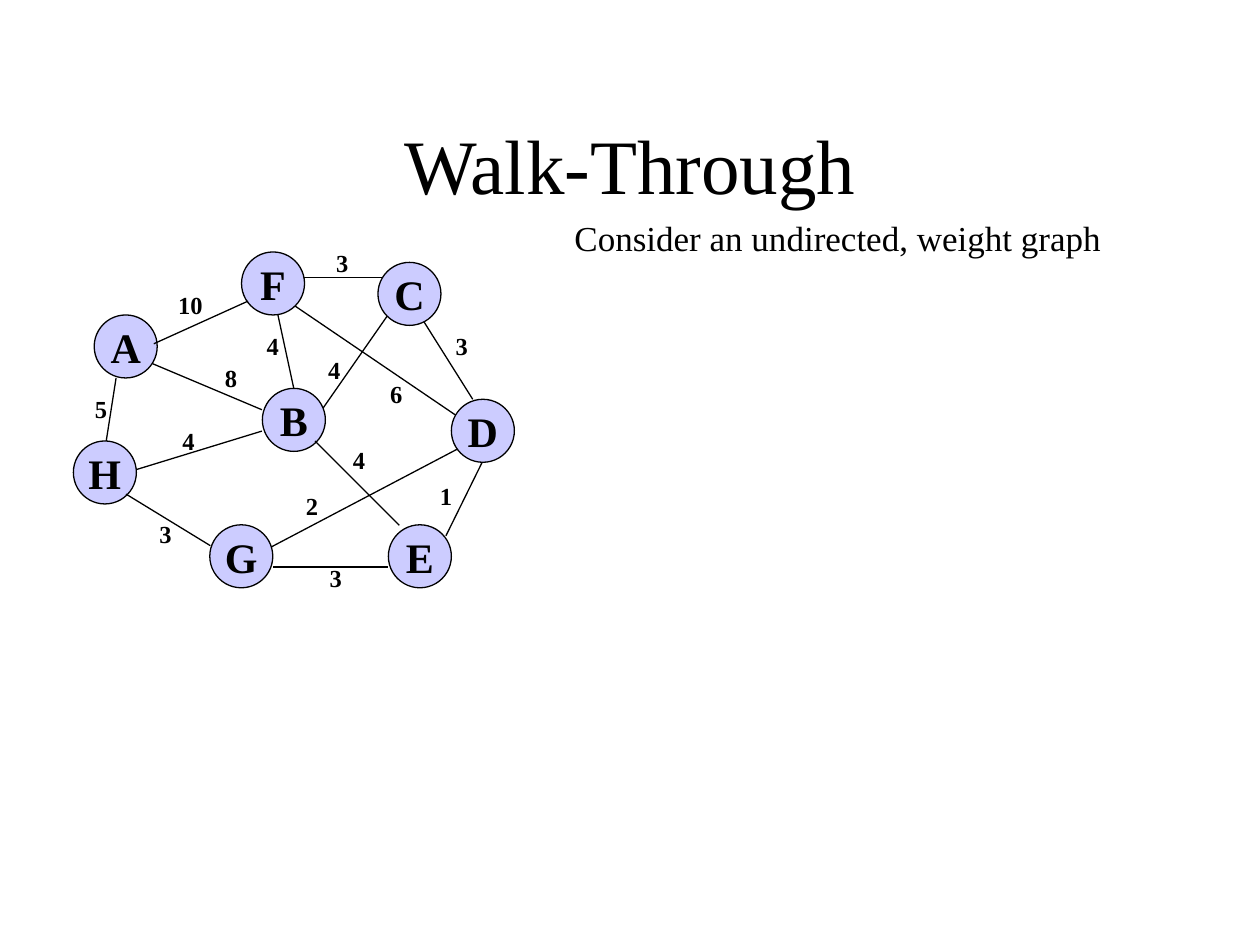
from dataclasses import dataclass

from lxml.etree import SubElement
from pptx import Presentation
from pptx.dml.color import RGBColor
from pptx.enum.shapes import MSO_CONNECTOR as Connector
from pptx.enum.shapes import MSO_SHAPE as Shape
from pptx.enum.text import MSO_ANCHOR as Anchor
from pptx.enum.text import MSO_AUTO_SIZE as AutoSize
from pptx.enum.text import PP_ALIGN as Align
from pptx.oxml.ns import qn
from pptx.util import Cm, Pt

COLORS = {"ink": "000000", "node": "CCCCFF"}
FONT = "Times New Roman"
NODE_SIZE = 1.27
LABEL_HEIGHT = 0.86
NARROW, WIDE = 0.84, 1.32


@dataclass
class Edge:
    start: tuple
    end: tuple
    weight: str
    label_center: float
    label_top: float
    label_width: float = NARROW


NODES = {
    "A": (1.9, 6.35),
    "H": (1.48, 8.89),
    "B": (5.29, 7.83),
    "F": (4.87, 5.08),
    "E": (7.83, 10.58),
    "D": (9.1, 8.05),
    "C": (7.62, 5.29),
    "G": (4.23, 10.58),
}

EDGES_BEHIND_NODES = [
    Edge((10.03, 8.69), (8.99, 10.8), "1", 8.99, 9.58, WIDE),
    Edge((5.51, 5.92), (5.92, 7.82), "4", 5.5, 6.55),
    Edge((6.35, 8.46), (7.82, 6.35), "4", 6.74, 7.04),
    Edge((9.32, 8.46), (5.92, 6.15), "6", 7.99, 7.52, WIDE),
    Edge((2.54, 9.53), (5.28, 8.69), "4", 3.8, 8.46),
    Edge((5.08, 11.23), (9.53, 8.89), "2", 6.29, 9.78),
    Edge((2.11, 9.09), (2.34, 7.62), "5", 2.04, 7.82),
    Edge((2.74, 7.19), (5.28, 8.26), "8", 4.66, 7.19),
    Edge((6.05, 5.59), (7.75, 5.59), "3", 6.9, 4.88),
    Edge((8.46, 6.35), (9.53, 8.05), "3", 9.31, 6.55),
]

EDGES_OVER_NODES = [
    Edge((6.35, 8.89), (8.05, 10.59), "4", 7.24, 8.84, WIDE),
    Edge((7.82, 11.43), (5.51, 11.43), "3", 6.77, 11.23),
    Edge((4.24, 11), (2.54, 9.96), "3", 3.34, 10.34),
    Edge((3.1, 6.93), (5, 6.07), "10", 3.84, 5.72, WIDE),
]


def color(name):
    return RGBColor.from_string(COLORS[name])


def write(frame, text, size, align, bold=False, before=0):
    frame.text = text
    para = frame.paragraphs[0]
    para.alignment = align
    para.space_before = Pt(before)
    para.font.name = FONT
    para.font.size = Pt(size)
    para.font.bold = bold
    para.font.color.rgb = color("ink")


def set_title(page, text):
    title = page.shapes.title
    title.left, title.top = Cm(1.9), Cm(1.7)
    title.width, title.height = Cm(21.6), Cm(3.18)
    frame = title.text_frame
    frame.auto_size = AutoSize.NONE
    frame.vertical_anchor = Anchor.MIDDLE
    write(frame, text, 44, Align.CENTER)


def add_text(page, text, left, top, width, height, size, align, bold, before):
    box = page.shapes.add_textbox(Cm(left), Cm(top), Cm(width), Cm(height))
    frame = box.text_frame
    frame.word_wrap = True
    frame.auto_size = AutoSize.SHAPE_TO_FIT_TEXT
    write(frame, text, size, align, bold, before)


def add_node(page, name, left, top):
    node = page.shapes.add_shape(
        Shape.OVAL, Cm(left), Cm(top), Cm(NODE_SIZE), Cm(NODE_SIZE))
    node.shadow.inherit = False
    node.fill.solid()
    node.fill.fore_color.rgb = color("node")
    node.line.color.rgb = color("ink")
    node.line.width = Pt(0.75)
    frame = node.text_frame
    frame.word_wrap = False
    frame.vertical_anchor = Anchor.MIDDLE
    write(frame, name, 24, Align.CENTER, bold=True, before=6)


def add_edge(page, edge):
    ends = [Cm(value) for value in edge.start + edge.end]
    line = page.shapes.add_connector(Connector.STRAIGHT, *ends)
    line.line.color.rgb = color("ink")
    line.line.width = Pt(0.75)
    SubElement(line._element.spPr, qn("a:effectLst"))


def add_weight(page, edge):
    left = edge.label_center - edge.label_width / 2
    add_text(page, edge.weight, left, edge.label_top, edge.label_width,
             LABEL_HEIGHT, 14, Align.CENTER, True, 8.8)


def main():
    deck = Presentation()
    deck.slide_width, deck.slide_height = Cm(25.4), Cm(19.05)
    page = deck.slides.add_slide(deck.slide_layouts[5])
    set_title(page, "Walk-Through")
    add_text(page, "Consider an undirected, weight graph",
             11.33, 4.24, 11.3, 1.12, 20, Align.LEFT, False, 12.5)
    for edge in EDGES_BEHIND_NODES:
        add_edge(page, edge)
    for name, (left, top) in NODES.items():
        add_node(page, name, left, top)
    for edge in EDGES_OVER_NODES:
        add_edge(page, edge)
    for edge in EDGES_BEHIND_NODES + EDGES_OVER_NODES:
        add_weight(page, edge)
    deck.save("out.pptx")


if __name__ == "__main__":
    main()
